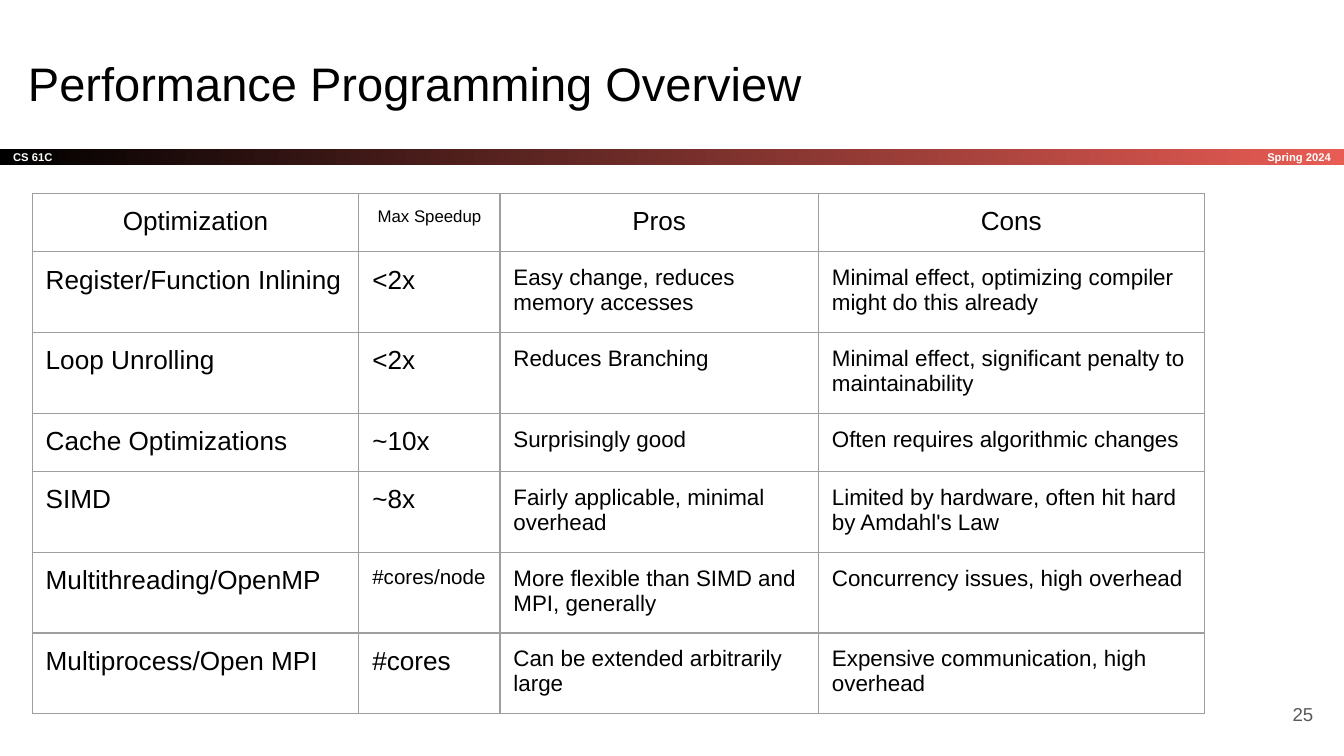
from typing import NamedTuple

from lxml.etree import SubElement
from pptx import Presentation
from pptx.dml.color import RGBColor
from pptx.enum.shapes import MSO_SHAPE as Shape
from pptx.enum.text import MSO_ANCHOR as Anchor, PP_ALIGN as Align
from pptx.oxml.ns import qn
from pptx.util import Inches, Pt

BLACK = RGBColor(0x00, 0x00, 0x00)
WHITE = RGBColor(0xFF, 0xFF, 0xFF)
CORAL = RGBColor(0xE8, 0x5C, 0x54)
GREY = RGBColor(0x59, 0x59, 0x59)
BORDER = RGBColor(0x9E, 0x9E, 0x9E)
FONT = "Arial"
INSET = Inches(0.1)
COLUMN_WIDTHS = (2.43, 1.05, 2.37, 2.87)
COLUMN_SIZES = (14, 14, 12, 12)


class Label(NamedTuple):
    text: str
    left: float
    top: float
    width: float
    height: float
    size: float
    color: RGBColor
    align: Align = Align.LEFT
    bold: bool = False


class Optimization(NamedTuple):
    name: str
    speedup: str
    pros: str
    cons: str
    min_height: float = 0.43


BAR = Label("CS 61C", 0, 1.11, 10, 0.12, 6, WHITE, bold=True)
LABELS = (
    Label("Spring 2024", 8.34, 1.11, 1.66, 0.12, 6, WHITE, Align.RIGHT, bold=True),
    Label("Performance Programming Overview", 0.11, 0.3, 9.32, 0.63, 25.2, BLACK),
    Label("25", 9.27, 5.1, 0.6, 0.43, 10, GREY, Align.RIGHT),
)
ROWS = (
    Optimization("Optimization", "Max Speedup", "Pros", "Cons"),
    Optimization("Register/Function Inlining", "<2x",
                 "Easy change, reduces memory accesses",
                 "Minimal effect, optimizing compiler might do this already", 0.18),
    Optimization("Loop Unrolling", "<2x", "Reduces Branching",
                 "Minimal effect, significant penalty to maintainability"),
    Optimization("Cache Optimizations", "~10x", "Surprisingly good",
                 "Often requires algorithmic changes"),
    Optimization("SIMD", "~8x", "Fairly applicable, minimal overhead",
                 "Limited by hardware, often hit hard by Amdahl's Law"),
    Optimization("Multithreading/OpenMP", "#cores/node",
                 "More flexible than SIMD and MPI, generally",
                 "Concurrency issues, high overhead", 0.24),
    Optimization("Multiprocess/Open MPI", "#cores",
                 "Can be extended arbitrarily large",
                 "Expensive communication, high overhead", 0.16),
)
SPECIAL_SIZES = {"Max Speedup": 9, "#cores/node": 11}


def write(frame, text: str, size: float, color: RGBColor, align: Align,
          bold: bool = False) -> None:
    frame.word_wrap = True
    para = frame.paragraphs[0]
    para.text = text
    para.alignment = align
    para.font.name = FONT
    para.font.size = Pt(size)
    para.font.bold = bold
    para.font.color.rgb = color


def set_insets(target) -> None:
    target.margin_left = target.margin_right = INSET
    target.margin_top = target.margin_bottom = INSET


def fill_label(shape, label: Label) -> None:
    frame = shape.text_frame
    set_insets(frame)
    frame.vertical_anchor = Anchor.MIDDLE
    write(frame, label.text, label.size, label.color, label.align, label.bold)


def frame_of(label: Label) -> tuple:
    return tuple(map(Inches, (label.left, label.top, label.width, label.height)))


def draw_bar(page, label: Label) -> None:
    bar = page.shapes.add_shape(Shape.RECTANGLE, *frame_of(label))
    bar.shadow.inherit = False
    bar.line.fill.background()
    bar.fill.gradient()
    bar.fill.gradient_angle = 0
    for stop, color in zip(bar.fill.gradient_stops, (BLACK, CORAL)):
        stop.color.rgb = color
    fill_label(bar, label)


def draw_label(page, label: Label) -> None:
    fill_label(page.shapes.add_textbox(*frame_of(label)), label)


def add_borders(cell) -> None:
    properties = cell._tc.get_or_add_tcPr()
    for index, side in enumerate(("lnL", "lnR", "lnT", "lnB")):
        line = properties.makeelement(qn(f"a:{side}"), {"w": str(Pt(0.75))})
        properties.insert(index, line)
        fill = SubElement(line, qn("a:solidFill"))
        SubElement(fill, qn("a:srgbClr"), val=str(BORDER))


def draw_table(page, rows: tuple[Optimization, ...]) -> None:
    width = sum(COLUMN_WIDTHS)
    height = sum(row.min_height for row in rows)
    table = page.shapes.add_table(
        len(rows), len(COLUMN_WIDTHS), Inches(0.24), Inches(1.44),
        Inches(width), Inches(height)).table
    table.first_row = table.horz_banding = False
    for column, column_width in zip(table.columns, COLUMN_WIDTHS):
        column.width = Inches(column_width)
    for row_index, row in enumerate(rows):
        table.rows[row_index].height = Inches(row.min_height)
        is_header = row_index == 0
        align = Align.CENTER if is_header else Align.LEFT
        texts = (row.name, row.speedup, row.pros, row.cons)
        for column_index, text in enumerate(texts):
            cell = table.cell(row_index, column_index)
            usual = 14 if is_header else COLUMN_SIZES[column_index]
            set_insets(cell)
            cell.fill.background()
            add_borders(cell)
            write(cell.text_frame, text, SPECIAL_SIZES.get(text, usual), BLACK, align)


def main() -> None:
    deck = Presentation()
    deck.slide_width = Inches(10)
    deck.slide_height = deck.slide_width * 9 // 16
    page = deck.slides.add_slide(deck.slide_layouts[6])
    draw_bar(page, BAR)
    for label in LABELS:
        draw_label(page, label)
    draw_table(page, ROWS)
    deck.save("out.pptx")


if __name__ == "__main__":
    main()
